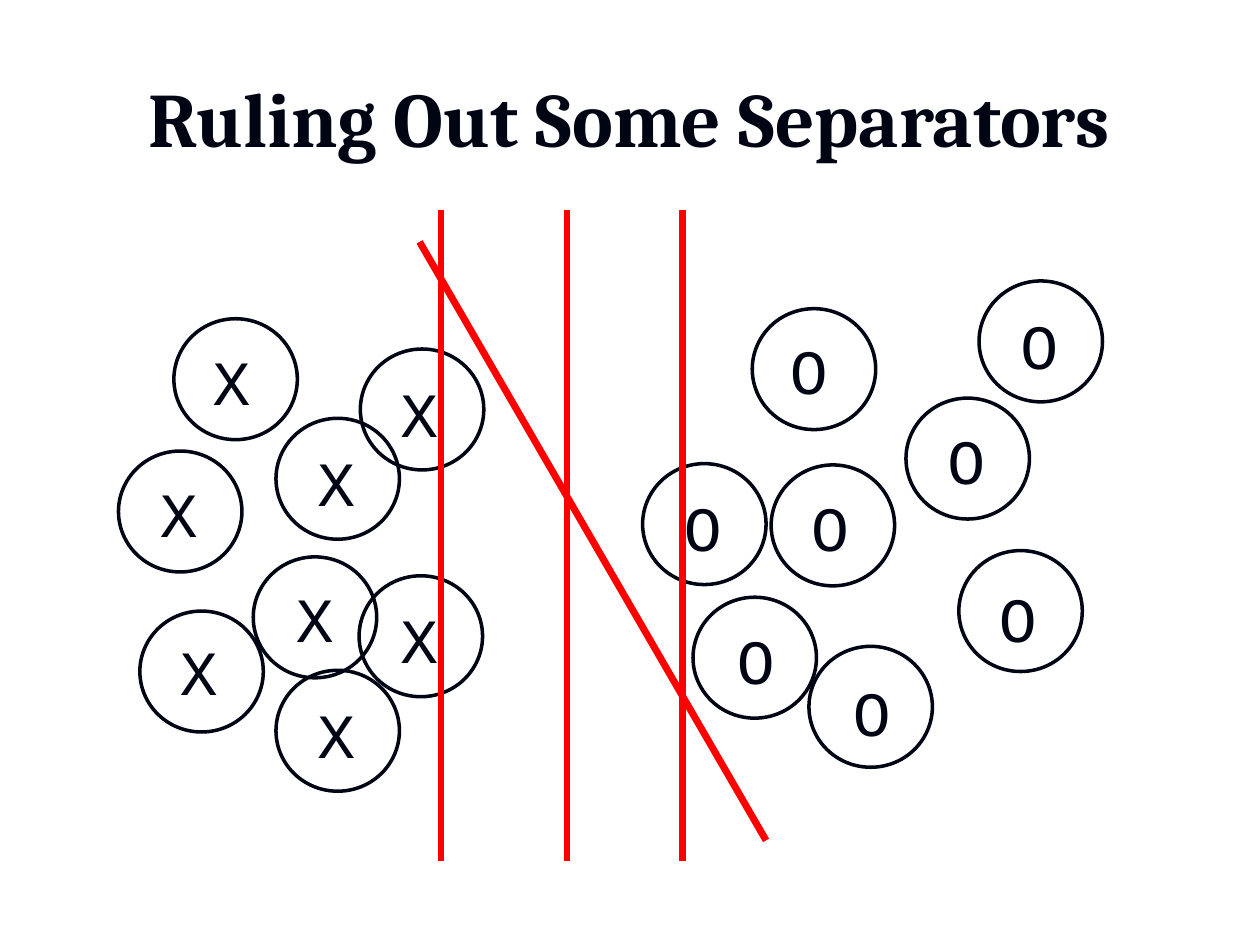
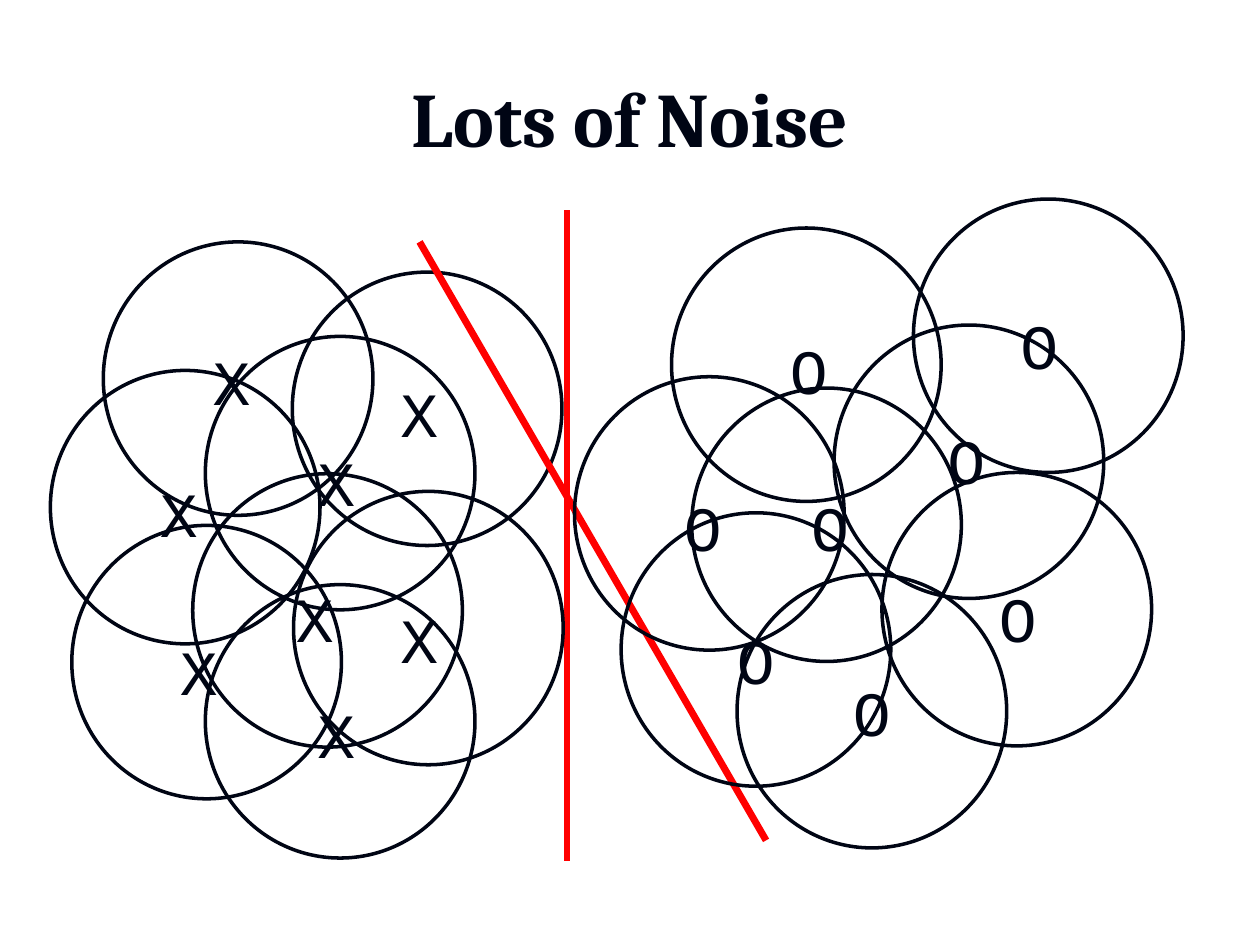
from collections import namedtuple

from lxml import etree
from pptx import Presentation
from pptx import util as u
from pptx.dml.color import RGBColor
from pptx.enum import shapes, text
from pptx.oxml import ns

PX = 9144  # EMU per px, 100 px to the inch
COLORS = {"ink": "000514", "red": "FF0000"}
TITLE_BOX = (50, 30, 900, 125)
MARK_SIZE = (50, 70)
SMALL = (98, 96)
LARGE = (214, 217)

Point = namedtuple("Point", "sign mark small large")
POINTS = [
    Point("X", (308, 292), (286, 277), (232, 216)),
    Point("X", (308, 472), (285, 457), (233, 390)),
    Point("X", (225, 455), (201, 442), (153, 376)),
    Point("X", (242, 547), (219, 532), (163, 464)),
    Point("O", (533, 383), (510, 368), (456, 299)),
    Point("O", (575, 488), (550, 474), (493, 407)),
    Point("O", (667, 530), (642, 513), (585, 456)),
    Point("O", (783, 455), (761, 437), (700, 375)),
    Point("O", (634, 383), (612, 369), (549, 308)),
    Point("O", (742, 330), (719, 316), (662, 258)),
    Point("O", (800, 238), (777, 223), (725, 158)),
    Point("O", (617, 258), (597, 245), (533, 181)),
    Point("X", (242, 347), (219, 332), (163, 267)),
    Point("X", (159, 267), (138, 253), (82, 192)),
    Point("X", (117, 372), (94, 358), (40, 294)),
    Point("X", (133, 497), (111, 485), (57, 417)),
]

SLANT = (333, 192, 608, 667)


def upright(x):
    """Ends of a vertical separator at x."""
    return x, 167, x, 683


def emu(*px):
    return [u.Emu(n * PX) for n in px]


def color(name):
    return RGBColor.from_string(COLORS[name])


def add_run(para, words, font, size, bold=False):
    run = para.add_run()
    run.text = words
    run.font.name = font
    run.font.size = u.Pt(size)
    run.font.bold = bold
    run.font.color.rgb = color("ink")


def set_line(shape, name, width):
    shape.line.color.rgb = color(name)
    shape.line.width = u.Pt(width)


def add_title(slide, words):
    title = slide.shapes.title
    title.left, title.top, title.width, title.height = emu(*TITLE_BOX)
    frame = title.text_frame
    frame.auto_size = text.MSO_AUTO_SIZE.NONE
    frame.vertical_anchor = text.MSO_ANCHOR.MIDDLE
    para = frame.paragraphs[0]
    para.alignment = text.PP_ALIGN.CENTER
    add_run(para, words, "Cambria", 44, bold=True)


def add_mark(slide, sign, spot):
    frame = slide.shapes.add_textbox(*emu(*spot, *MARK_SIZE)).text_frame
    frame.word_wrap = False
    frame.auto_size = text.MSO_AUTO_SIZE.SHAPE_TO_FIT_TEXT
    add_run(frame.paragraphs[0], sign, "Courier New", 36)


def add_rings(slide, spots, size):
    for spot in spots:
        ring = slide.shapes.add_shape(
            shapes.MSO_SHAPE.OVAL, *emu(*spot, *size))
        ring.shadow.inherit = False
        ring.fill.background()
        set_line(ring, "ink", 2)


def add_cuts(slide, cuts):
    """Draw the red separators."""
    for ends in cuts:
        cut = slide.shapes.add_connector(
            shapes.MSO_CONNECTOR.STRAIGHT, *emu(*ends))
        set_line(cut, "red", 4)
        etree.SubElement(cut._element.spPr, ns.qn("a:effectLst"))


def add_slide(deck, title):
    """Start a slide with its title and the marks that both slides share."""
    slide = deck.slides.add_slide(deck.slide_layouts.get_by_name("Title Only"))
    add_title(slide, title)
    for point in POINTS:
        add_mark(slide, point.sign, point.mark)
    return slide


def main():
    deck = Presentation()
    deck.slide_width, deck.slide_height = emu(1000, 750)

    ruled = add_slide(deck, "Ruling Out Some Separators")
    add_rings(ruled, [point.small for point in POINTS], SMALL)
    add_cuts(ruled, [upright(350), upright(542), SLANT, upright(450)])

    noise = add_slide(deck, "Lots of Noise")
    first, *rest = [point.large for point in POINTS]
    add_rings(noise, [first], LARGE)
    add_cuts(noise, [SLANT, upright(450)])
    add_rings(noise, rest, LARGE)

    deck.save("out.pptx")


if __name__ == "__main__":
    main()
